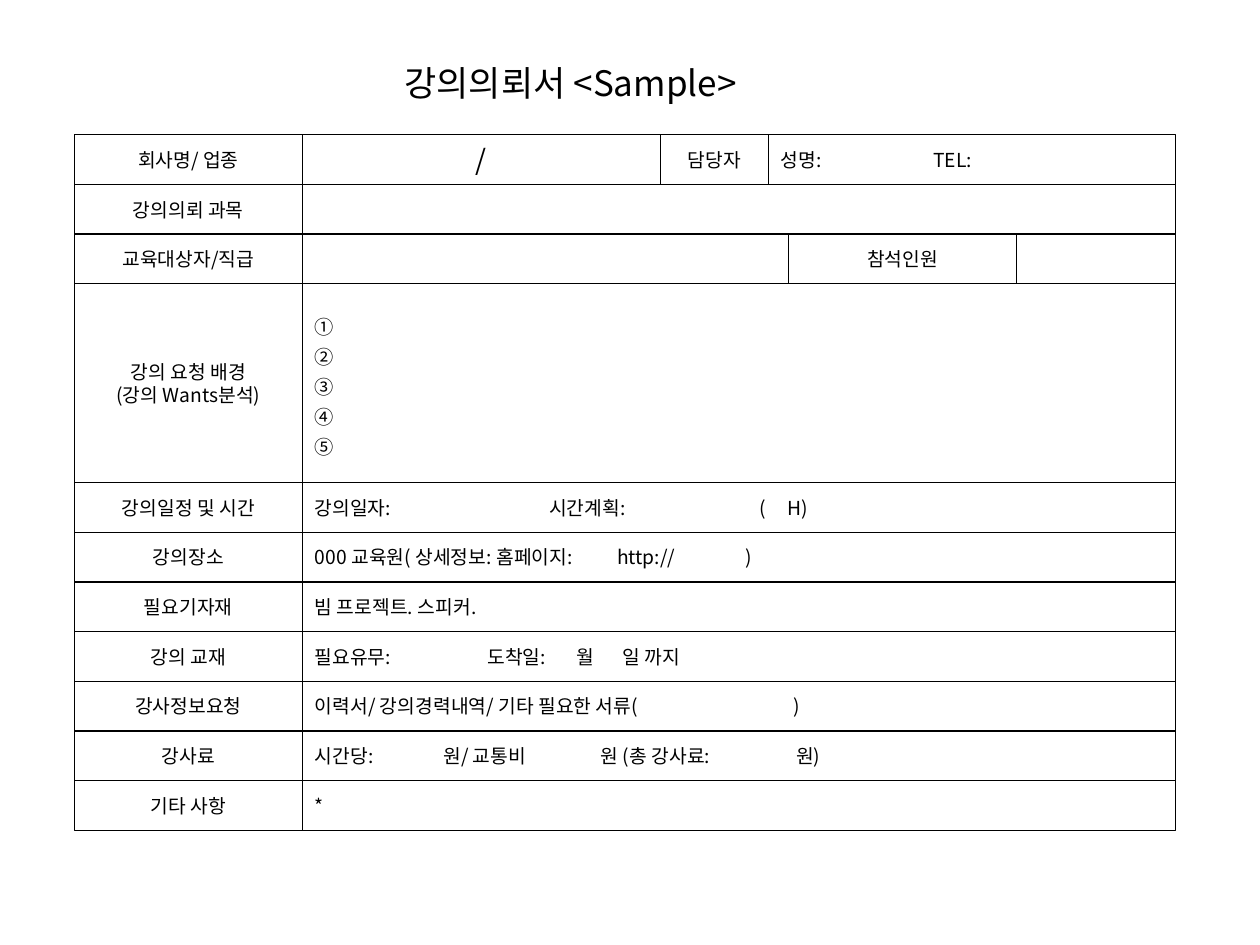
import pptx
import pptx.dml.color
import pptx.enum.shapes
import pptx.enum.text
import pptx.oxml.ns
import pptx.util
from lxml import etree
from pptx.util import Inches

COLORS = {"ink": "000000"}
FONT = "Noto Sans CJK KR"
INK = pptx.dml.color.RGBColor.from_string(COLORS["ink"])
LEFT_ALIGN = pptx.enum.text.PP_ALIGN.LEFT
CENTER = pptx.enum.text.PP_ALIGN.CENTER
qn = pptx.oxml.ns.qn


def write_text(frame, text, size, align, spacing=1.0, tabs=()):
    """Fill a text frame; tabs are tab stops in inches from the text's left edge."""
    frame.vertical_anchor = pptx.enum.text.MSO_ANCHOR.MIDDLE
    frame.text = text
    for paragraph in frame.paragraphs:
        paragraph.alignment = align
        paragraph.line_spacing = spacing
        if tabs:
            stops = etree.SubElement(paragraph._p.get_or_add_pPr(), qn("a:tabLst"))
            for stop in tabs:
                etree.SubElement(stops, qn("a:tab"), pos=str(Inches(stop)), algn="l")
        for run in paragraph.runs:
            run.font.size = pptx.util.Pt(size)
            run.font.color.rgb = INK
            run.font.name = FONT
            etree.SubElement(run._r.get_or_add_rPr(), qn("a:ea"), typeface=FONT)


LABEL_LEFT, FIELD_LEFT, RIGHT = 0.59, 2.4, 9.33
TOP, BOTTOM = 1.07, 6.59
ROW_UNITS = 14

# Each row: height in units, then cells of (left edge, text, format).
label = {"size": 11, "align": CENTER}
field = {"size": 11, "align": LEFT_ALIGN}
form_rows = [
    (1, [(LABEL_LEFT, "회사명/ 업종", label),
         (FIELD_LEFT, "/", {"size": 16, "align": CENTER}),
         (5.24, "담당자", label),
         (6.1, "성명:\tTEL:", {**field, "tabs": [1.21]})]),
    (1, [(LABEL_LEFT, "강의의뢰 과목", label), (FIELD_LEFT, "", field)]),
    (1, [(LABEL_LEFT, "교육대상자/직급", label), (FIELD_LEFT, "", field),
         (6.26, "참석인원", label), (8.07, "", field)]),
    (4, [(LABEL_LEFT, "강의 요청 배경\n(강의 Wants분석)", label),
         (FIELD_LEFT, "①\n②\n③\n④\n⑤", {**field, "spacing": 1.3})]),
    (1, [(LABEL_LEFT, "강의일정 및 시간", label),
         (FIELD_LEFT, "강의일자:\t시간계획:\t(\tH)",
          {**field, "tabs": [1.86, 3.53, 3.75]})]),
    (1, [(LABEL_LEFT, "강의장소", label),
         (FIELD_LEFT, "000 교육원( 상세정보: 홈페이지:\thttp://\t)",
          {**field, "tabs": [2.4, 3.42]})]),
    (1, [(LABEL_LEFT, "필요기자재", label),
         (FIELD_LEFT, "빔 프로젝트. 스피커.", field)]),
    (1, [(LABEL_LEFT, "강의 교재", label),
         (FIELD_LEFT, "필요유무:\t도착일:\t월\t일 까지",
          {**field, "tabs": [1.37, 2.08, 2.44]})]),
    (1, [(LABEL_LEFT, "강사정보요청", label),
         (FIELD_LEFT, "이력서/ 강의경력내역/ 기타 필요한 서류(\t)",
          {**field, "tabs": [3.8]})]),
    (1, [(LABEL_LEFT, "강사료", label),
         (FIELD_LEFT, "시간당:\t원/ 교통비\t원 (총 강사료:\t원)",
          {**field, "tabs": [1.02, 2.27, 3.82]})]),
    (1, [(LABEL_LEFT, "기타 사항", label), (FIELD_LEFT, "*", field)]),
]

presentation = pptx.Presentation()
presentation.slide_width, presentation.slide_height = Inches(10), Inches(7.5)
slide = presentation.slides.add_slide(presentation.slide_layouts[5])

heading = slide.shapes.title
heading_box = {"left": 3.11, "top": 0.44, "width": 4.1, "height": 0.43}
for side, length in heading_box.items():
    setattr(heading, side, Inches(length))
heading.text_frame.auto_size = pptx.enum.text.MSO_AUTO_SIZE.NONE
write_text(heading.text_frame, "강의의뢰서 <Sample>", 20, LEFT_ALIGN)

unit = (BOTTOM - TOP) / ROW_UNITS
row_top = TOP
for units, cells in form_rows:
    height = units * unit
    right_edges = [cell[0] for cell in cells[1:]] + [RIGHT]
    for (left, text, text_format), right in zip(cells, right_edges):
        cell_box = slide.shapes.add_shape(
            pptx.enum.shapes.MSO_SHAPE.RECTANGLE,
            Inches(left), Inches(row_top), Inches(right - left), Inches(height))
        cell_box.shadow.inherit = False
        cell_box.fill.background()
        cell_box.line.color.rgb = INK
        cell_box.line.width = pptx.util.Pt(0.75)
        if text:
            write_text(cell_box.text_frame, text, **text_format)
    row_top += height

presentation.save("out.pptx")
